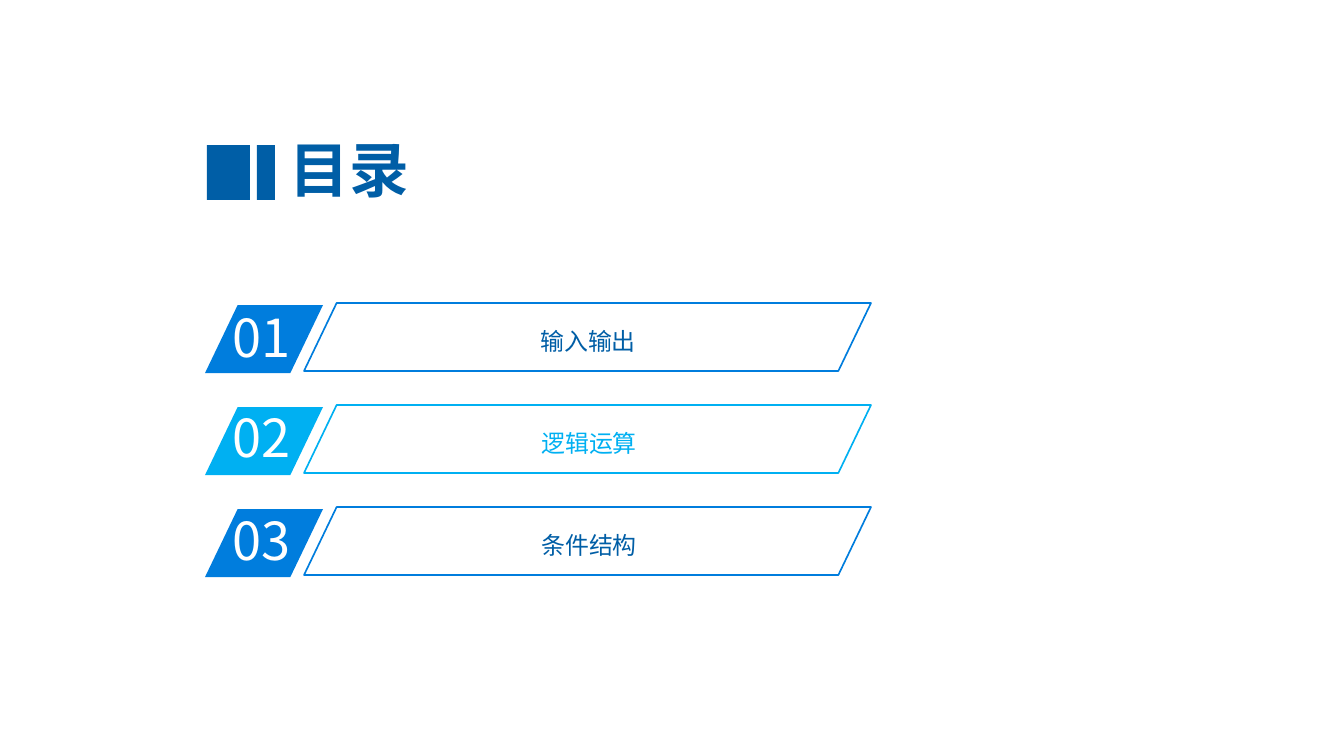
from pptx import Presentation
from pptx.dml.color import RGBColor
from pptx.enum.shapes import MSO_SHAPE as SHAPE
from pptx.enum.text import MSO_ANCHOR as ANCHOR, MSO_AUTO_SIZE as AUTO, PP_ALIGN as ALIGN
from pptx.oxml.ns import qn
from pptx.util import Pt
from lxml import etree

EMU_PER_PX = 914400 / 95.6
FONT = "Noto Sans CJK SC"
COLORS = {"navy": "005EA6", "blue": "007DDD", "cyan": "00B0F2", "white": "FFFFFF"}

# number, label, badge and frame colour, label colour, number top, label left
ITEMS = [
    ("01", "输入输出", "blue", "navy", 301, 380),
    ("02", "逻辑运算", "cyan", "cyan", 401, 381),
    ("03", "条件结构", "blue", "navy", 504, 381),
]
FIRST_TOP, PITCH = 305, 102


def px(*values):
    return [round(v * EMU_PER_PX) for v in values]


def rgb(name):
    return RGBColor.from_string(COLORS[name])


def format_text(p, size, color, bold=False):
    for r in p.runs:
        r.font.size = Pt(size)
        r.font.name = FONT
        r.font.bold = bold
        r.font.color.rgb = rgb(color)
        ea = etree.SubElement(r.font._element, qn("a:ea"))
        ea.set("typeface", FONT)


def add_block(s, kind, box, fill=None, line=None):
    sp = s.shapes.add_shape(kind, *px(*box))
    sp.shadow.inherit = False
    if kind == SHAPE.PARALLELOGRAM:
        sp.adjustments[0] = 0.48
    if fill:
        sp.fill.solid()
        sp.fill.fore_color.rgb = rgb(fill)
    else:
        sp.fill.background()
    if line:
        sp.line.color.rgb = rgb(line)
        sp.line.width = Pt(1.25)
    else:
        sp.line.fill.background()


def add_text(s, text, box, size, color, align=ALIGN.LEFT, spacing=None):
    tf = s.shapes.add_textbox(*px(*box)).text_frame
    tf.word_wrap = True
    tf.auto_size = AUTO.SHAPE_TO_FIT_TEXT
    tf.text = text
    p = tf.paragraphs[0]
    p.alignment = align
    p.line_spacing = spacing
    format_text(p, size, color)


def set_title(s, text, box):
    title = s.shapes.title
    title.left, title.top, title.width, title.height = px(*box)
    tf = title.text_frame
    tf.text = text
    tf.vertical_anchor = ANCHOR.MIDDLE
    tf.paragraphs[0].alignment = ALIGN.CENTER
    format_text(tf.paragraphs[0], 45, "navy", bold=True)


def add_item(s, top, number, label, accent, label_color, number_top, label_left):
    add_block(s, SHAPE.PARALLELOGRAM, (205, top, 118, 68), fill=accent)
    add_text(s, number, (223, number_top, 113, 73), 39.4, "white")
    add_text(s, label, (label_left, top + 3, 416, 54), 18, label_color, ALIGN.CENTER, 1.5)
    add_block(s, SHAPE.PARALLELOGRAM, (304, top - 2, 567, 68), line=accent)


def main():
    prs = Presentation()
    prs.slide_width, prs.slide_height = px(1344, 756)
    s = prs.slides.add_slide(prs.slide_layouts[5])

    # Heading with its two bars
    set_title(s, "目录", (183, 132, 332, 73))
    for left, width in ((207, 43), (257, 18)):
        add_block(s, SHAPE.RECTANGLE, (left, 145, width, 55), fill="navy")

    # Contents list
    for i, item in enumerate(ITEMS):
        add_item(s, FIRST_TOP + i * PITCH, *item)

    prs.save("out.pptx")


main()
